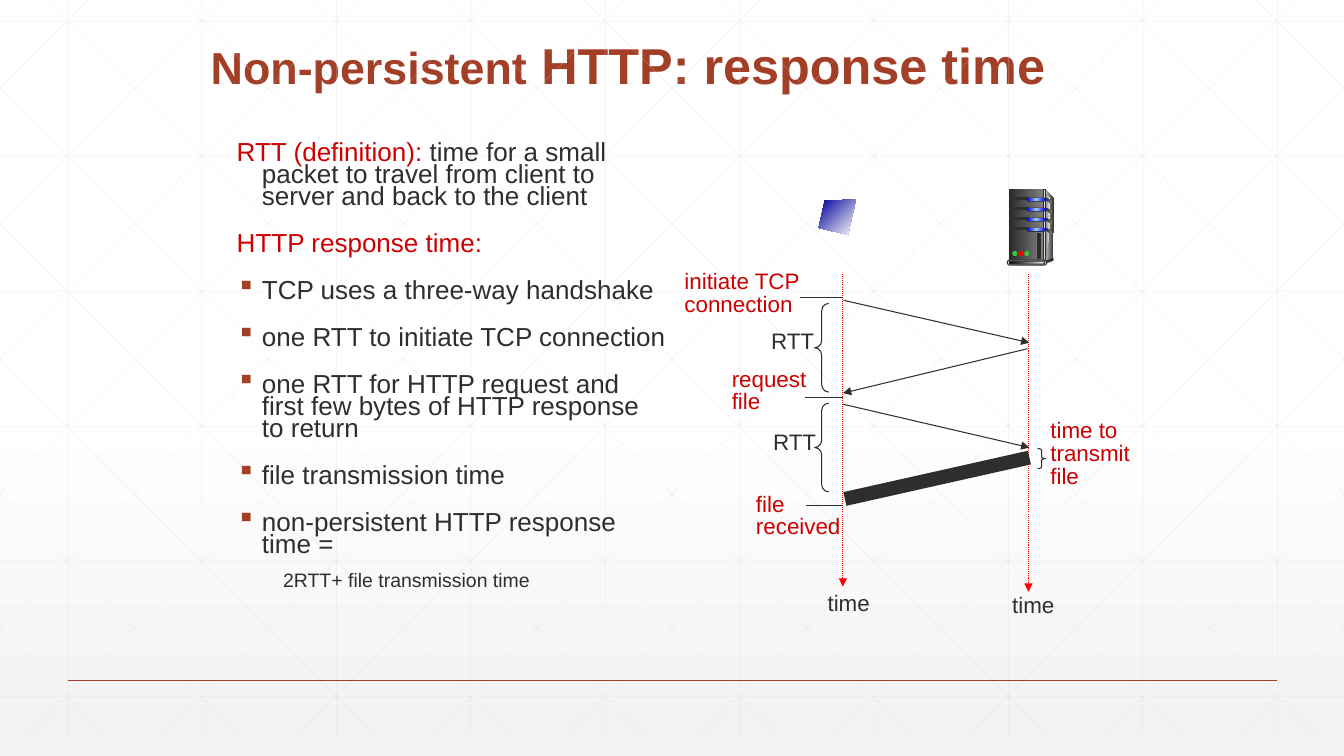
import pptx
import pptx.dml.color
import pptx.enum.dml
import pptx.enum.shapes
import pptx.enum.text
import pptx.oxml
import pptx.oxml.ns
import pptx.util

Inches = pptx.util.Inches
Pt = pptx.util.Pt
qn = pptx.oxml.ns.qn
SHAPE = pptx.enum.shapes.MSO_SHAPE

WIDTH, HEIGHT = 13.33, 7.5
INK, RED, RUST, DARK = "2D2E2D", "CC0000", "A43F27", "333333"
METAL = ["292929", "808080"]
LIGHT = ["0000FF", "99CCFF", "0000FF"]


def rgb(value):
    return pptx.dml.color.RGBColor.from_string(value)


def add_xml(parent, tag, **attributes):
    child = parent.makeelement(qn(tag), attributes)
    parent.append(child)
    return child


def set_gradient(fill, element, stops, angle=0):
    fill.gradient()
    gradient = element.find(".//" + qn("a:gradFill"))
    stop_list = gradient.find(qn("a:gsLst"))
    for stop in list(stop_list):
        stop_list.remove(stop)
    for position, color in stops:
        stop = add_xml(stop_list, "a:gs", pos=str(position * 1000))
        add_xml(stop, "a:srgbClr", val=color)
    gradient.find(qn("a:lin")).set("ang", str(angle * 60000))


def paint(sp, fill=None, line=None, angle=0):
    sp.shadow.inherit = False
    if fill is None:
        sp.fill.background()
    elif isinstance(fill, str):
        sp.fill.solid()
        sp.fill.fore_color.rgb = rgb(fill)
    else:
        stops = [(100 * i // (len(fill) - 1), c) for i, c in enumerate(fill)]
        set_gradient(sp.fill, sp.element, stops, angle)
    if line:
        sp.line.color.rgb = rgb(line)
        sp.line.width = Pt(0.75)
    else:
        sp.line.fill.background()


def add_shape(s, kind, box, fill=None, line=None, adjust=()):
    sp = s.shapes.add_shape(kind, *map(Inches, box))
    for i, value in enumerate(adjust):
        sp.adjustments[i] = value
    paint(sp, fill, line)


def add_outline(s, points, fill, angle=0):
    points = [(Inches(x), Inches(y)) for x, y in points]
    builder = s.shapes.build_freeform(*points[0])
    builder.add_line_segments(points[1:], close=True)
    paint(builder.convert_to_shape(), fill, angle=angle)


def add_line(s, ends, color=INK, width=0.75, arrow=False, dash=None, alpha=None):
    c = s.shapes.add_connector(pptx.enum.shapes.MSO_CONNECTOR.STRAIGHT, *map(Inches, ends))
    c.line.color.rgb = rgb(color)
    c.line.width = Pt(width)
    if dash:
        c.line.dash_style = dash
    ln = c.element.find(".//" + qn("a:ln"))
    if alpha:
        add_xml(ln.find(".//" + qn("a:srgbClr")), "a:alpha", val=str(alpha * 1000))
    if arrow:
        add_xml(ln, "a:tailEnd", type="triangle")
    add_xml(c.element.spPr, "a:effectLst")


def add_run(p, text, size, color, bold=False):
    r = p.add_run()
    r.text = text
    r.font.name = "Arial"
    r.font.size = Pt(size)
    r.font.bold = bold
    r.font.color.rgb = rgb(color)


def add_label(s, box, lines, color=RED, spacing=0.85):
    tf = s.shapes.add_textbox(*map(Inches, box)).text_frame
    tf.word_wrap = False
    tf.auto_size = pptx.enum.text.MSO_AUTO_SIZE.SHAPE_TO_FIT_TEXT
    for i, text in enumerate(lines):
        p = tf.add_paragraph() if i else tf.paragraphs[0]
        p.line_spacing = spacing
        add_run(p, text, 16, color)


def add_backdrop(s):
    fill = s.background.fill
    fill.gradient()
    set_gradient(fill, s.element, [(0, "FFFFFF"), (53, "FFFFFF"), (100, "F2F2F2")], 90)
    bottom, step, run = 7.29, 4 / 3, 7.25
    grid = [(0.67 + step * i, 0, 0.67 + step * i, bottom) for i in range(10)]
    grid += [(0, 0.21 + 1.34 * i, WIDTH, 0.21 + 1.34 * i) for i in range(6)]
    for i in range(-5, 10):
        x = 0.46 + step * i
        left, right = max(x, 0), min(x + run, WIDTH)
        top, low = [(end - x) * bottom / run for end in (left, right)]
        grid += [(left, top, right, low), (WIDTH - left, top, WIDTH - right, low)]
    for ends in grid:
        add_line(s, ends, "D9D9D9", 0.5, alpha=25)
    add_line(s, (0.67, 6.75, 12.67, 6.75), RUST, 1)


def add_title(s):
    title = s.shapes.title
    title.left, title.top, title.width, title.height = map(Inches, (1.99, 0, 8.99, 1))
    tf = title.text_frame
    tf.auto_size = pptx.enum.text.MSO_AUTO_SIZE.NONE
    tf.vertical_anchor = pptx.enum.text.MSO_ANCHOR.BOTTOM
    p = tf.paragraphs[0]
    p.alignment = pptx.enum.text.PP_ALIGN.LEFT
    p.line_spacing = 0.9
    add_run(p, "Non-persistent", 32, RUST, True)
    add_run(p, " HTTP: response time", 36, RUST, True)


def add_body(s):
    tf = s.shapes.add_textbox(*map(Inches, (2.25, 1.38, 4.47, 5.08))).text_frame
    tf.word_wrap = True
    definition = [("RTT (definition):", RED),
                  (" time for a small packet to travel from client to server and back to the client", INK)]
    points = ["TCP uses a three-way handshake",
              "one RTT to initiate TCP connection",
              "one RTT for HTTP request and first few bytes of HTTP response to return",
              "file transmission time",
              "non-persistent HTTP response time ="]
    rows = [(definition, False), ([("HTTP response time:", RED)], False)]
    rows += [([(text, INK)], True) for text in points]
    for i, (runs, bullet) in enumerate(rows):
        p = tf.add_paragraph() if i else tf.paragraphs[0]
        p.line_spacing = 0.7
        p.space_before = Pt(18 if i else 0)
        pPr = p._p.get_or_add_pPr()
        pPr.set("marL", str(Inches(0.25)))
        pPr.set("indent", str(Inches(-0.25)))
        if bullet:
            add_xml(add_xml(pPr, "a:buClr"), "a:srgbClr", val=RUST)
            add_xml(pPr, "a:buChar", char="▪")
        for text, color in runs:
            add_run(p, text, 18.6, color)
    p = tf.add_paragraph()
    p.line_spacing = 0.7
    p.space_before = Pt(12)
    p._p.get_or_add_pPr().set("marL", str(Inches(0.46)))
    add_run(p, "2RTT+ file transmission time", 13.9, INK)


def add_timeline(s):
    dots = pptx.enum.dml.MSO_LINE.ROUND_DOT
    for x, end in ((8.36, 5.82), (10.2, 5.87)):
        add_line(s, (x, 2.72, x, end), "FF0000", arrow=True, dash=dots)
    for ends in ((8.37, 2.98, 10.21, 3.4), (10.19, 3.46, 8.36, 3.9), (8.36, 4.01, 10.21, 4.44)):
        add_line(s, ends, arrow=True)
    add_line(s, (10.21, 4.54, 8.38, 4.95), width=10)
    for x, y in ((7.93, 2.95), (7.98, 3.94), (7.99, 5.02)):
        add_line(s, (x, y, 8.36, y))
    add_shape(s, SHAPE.RIGHT_BRACE, (10.29, 4.45, 0.08, 0.2), line=INK, adjust=(0.2, 0.5))
    for y in (3.01, 4):
        add_shape(s, SHAPE.LEFT_BRACE, (8.08, y, 0.14, 0.88), line=INK, adjust=(0.52, 0.5))
    add_label(s, (10.32, 4.12, 1.06, 0.78), ["time to", "transmit", "file"])
    add_label(s, (6.69, 2.64, 1.35, 0.56), ["initiate TCP", "connection"])
    add_label(s, (7.16, 3.61, 0.94, 0.56), ["request", "file"])
    add_label(s, (7.4, 4.85, 1.04, 0.56), ["file", "received"])
    add_label(s, (7.55, 3.24, 0.63, 0.33), ["RTT"], INK)
    add_label(s, (7.57, 4.24, 0.63, 0.33), ["RTT"], INK)
    add_label(s, (8.11, 5.84, 0.62, 0.33), ["time"], INK)
    add_label(s, (9.94, 5.82, 0.62, 0.37), ["time"], INK, 1)


def add_server(s):
    add_outline(s, [(10.37, 1.88), (10.45, 1.97), (10.44, 2.56), (10.35, 2.59)], ["DDDDDD", DARK])
    add_shape(s, SHAPE.RECTANGLE, (10.01, 1.88, 0.34, 0.71), METAL)
    add_outline(s, [(10.37, 1.92), (10.42, 1.98), (10.4, 2.37), (10.37, 2.57)], ["808080", "F8F8F8"])
    add_shape(s, SHAPE.RECTANGLE, (10.35, 1.88, 0.02, 0.72), [DARK, "DDDDDD", DARK], INK)
    for i in range(4):
        y = 1.96 + 0.1 * i
        add_shape(s, SHAPE.RECTANGLE, (10.01, y, 0.19, 0.02), INK, INK)
        add_shape(s, SHAPE.ROUNDED_RECTANGLE, (10.18, y, 0.19, 0.04), INK, adjust=[0.5])
        add_shape(s, SHAPE.ROUNDED_RECTANGLE, (10.19, y, 0.18, 0.03), LIGHT, adjust=[0.5])
        add_outline(s, [(10.37, y), (10.44, y + 0.04), (10.44, y + 0.07), (10.37, y + 0.02)], METAL)
    add_shape(s, SHAPE.OVAL, (10.43, 2.56, 0.02, 0.03), DARK)
    add_outline(s, [(10.36, 2.59), (10.36, 2.62), (10.44, 2.59), (10.44, 2.56)], DARK)
    add_shape(s, SHAPE.ROUNDED_RECTANGLE, (9.99, 2.58, 0.39, 0.05), "DDDDDD", INK, [0.5])
    add_shape(s, SHAPE.ROUNDED_RECTANGLE, (10.01, 2.59, 0.35, 0.03), ["000000", "EAEAEA"], INK, [0.5])
    for i, color in enumerate(("33CC33", "FF0000", "33CC33")):
        add_shape(s, SHAPE.OVAL, (10.04 + 0.06 * i, 2.49, 0.05, 0.05), color)
    add_shape(s, SHAPE.RECTANGLE, (10.29, 2.32, 0.03, 0.24), "292929", INK)


def main():
    prs = pptx.Presentation()
    prs.slide_width, prs.slide_height = Inches(WIDTH), Inches(HEIGHT)
    s = prs.slides.add_slide(prs.slide_layouts[5])
    add_backdrop(s)
    add_title(s)
    add_body(s)
    add_timeline(s)
    add_server(s)
    add_outline(s, [(8.49, 1.98), (8.18, 1.99), (8.12, 2.26), (8.41, 2.33)], ["000099", "FFFFFF"], 45)
    prs.save("out.pptx")


if __name__ == "__main__":
    main()
